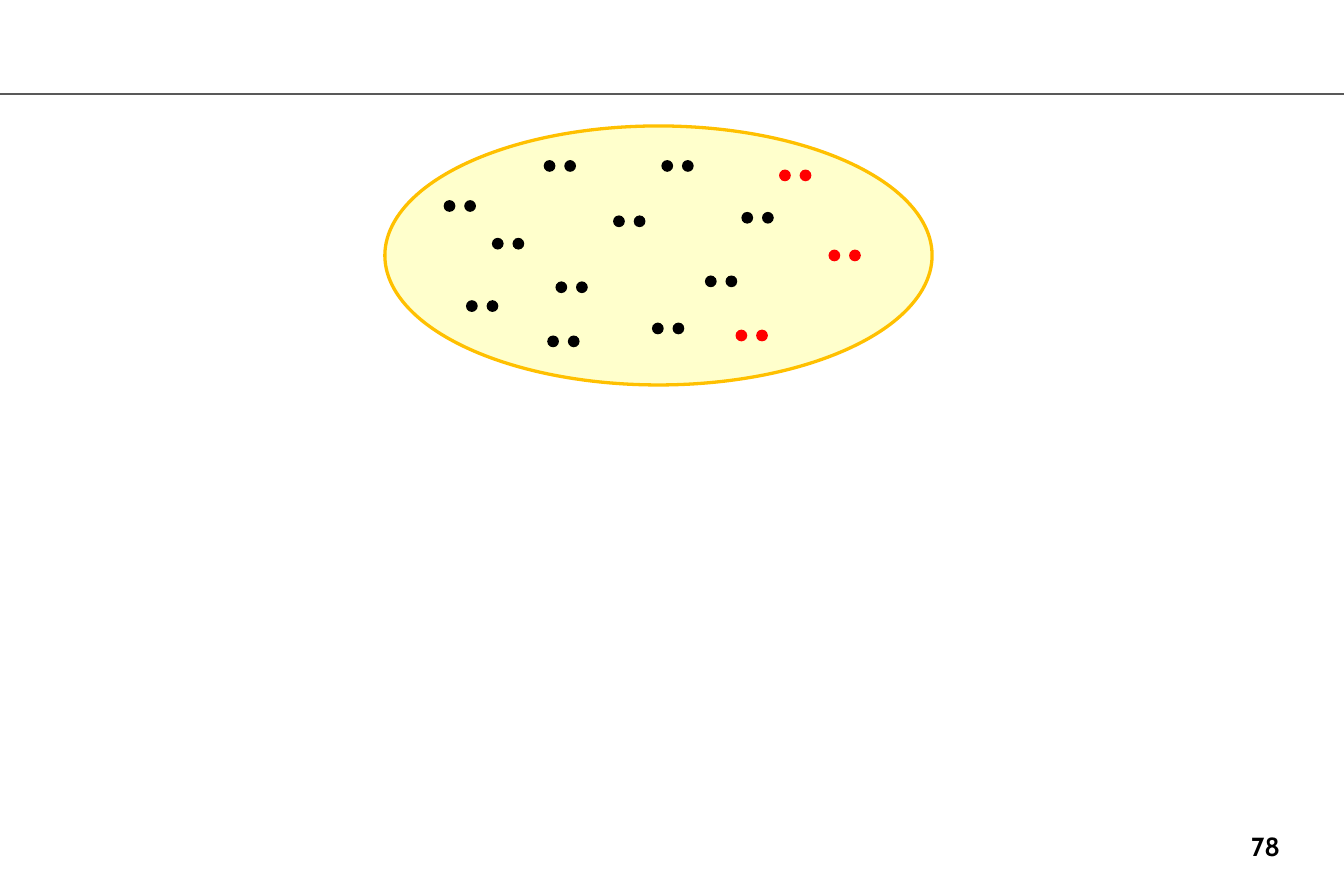
from dataclasses import dataclass

from lxml import etree
from pptx import Presentation
from pptx.dml.color import RGBColor
from pptx.enum import shapes, text
from pptx.oxml import ns
from pptx.util import Inches, Pt


@dataclass(frozen=True)
class Theme:
    font: str = "Cabin"
    number_size: float = 16
    ink: str = "000000"
    marked: str = "FF0000"
    rule: str = "595959"
    set_fill: str = "FFFFCC"
    set_line: str = "FFC000"


THEME = Theme()
DOT_SIZE = 0.1
DOT_STEP = 0.175  # from the left edge of one dot to the next in a pair

# Left and top of each pair of dots
PLAIN_PAIRS = [
    (3.77, 1.7), (4.62, 1.36), (4.18, 2.02), (4.72, 2.39), (5.21, 1.83),
    (5.62, 1.36), (6.3, 1.8), (5.99, 2.34), (5.54, 2.74), (3.96, 2.55),
    (4.65, 2.85),
]
MARKED_PAIRS = [(6.25, 2.8), (7.04, 2.12), (6.62, 1.44)]


def add_text(s, content, left, top, width, height, *, size, color,
             bold=False, align=text.PP_ALIGN.LEFT):
    tf = s.shapes.add_textbox(
        Inches(left), Inches(top), Inches(width), Inches(height)).text_frame
    tf.word_wrap = True
    p = tf.paragraphs[0]
    p.alignment = align
    r = p.add_run()
    r.text = content
    r.font.name = THEME.font
    r.font.size = Pt(size)
    r.font.bold = bold
    r.font.color.rgb = RGBColor.from_string(color)


def add_rule(s, top, width):
    line = s.shapes.add_connector(
        shapes.MSO_CONNECTOR.STRAIGHT, 0, Inches(top), width, Inches(top))
    line.line.color.rgb = RGBColor.from_string(THEME.rule)
    line.line.width = Pt(1.5)
    etree.SubElement(line._element.spPr, ns.qn("a:effectLst"))


def add_ellipse(parent, left, top, width, height, fill, line=None):
    sp = parent.shapes.add_shape(
        shapes.MSO_SHAPE.OVAL,
        Inches(left), Inches(top), Inches(width), Inches(height))
    sp.shadow.inherit = False
    sp.fill.solid()
    sp.fill.fore_color.rgb = RGBColor.from_string(fill)
    if line:
        sp.line.color.rgb = RGBColor.from_string(line)
        sp.line.width = Pt(2)
    else:
        sp.line.fill.background()


def add_dot_pair(s, left, top, color):
    pair = s.shapes.add_group_shape()
    for i in range(2):
        add_ellipse(pair, left + i * DOT_STEP, top, DOT_SIZE, DOT_SIZE, color)


def main():
    prs = Presentation()
    prs.slide_width, prs.slide_height = Inches(11.42), Inches(7.5)
    s = prs.slides.add_slide(prs.slide_layouts[6])

    # Page frame: number and header rule
    add_text(s, "78 ", 8.81, 7, 3.94, 0.24, size=THEME.number_size,
             color=THEME.ink, bold=True, align=text.PP_ALIGN.CENTER)
    add_rule(s, 0.8, prs.slide_width)

    # The set and its pairs of dots
    add_ellipse(s, 3.27, 1.07, 4.65, 2.2, THEME.set_fill, THEME.set_line)
    for color, pairs in ((THEME.ink, PLAIN_PAIRS),
                         (THEME.marked, MARKED_PAIRS)):
        for left, top in pairs:
            add_dot_pair(s, left, top, color)

    prs.save("out.pptx")


if __name__ == "__main__":
    main()
